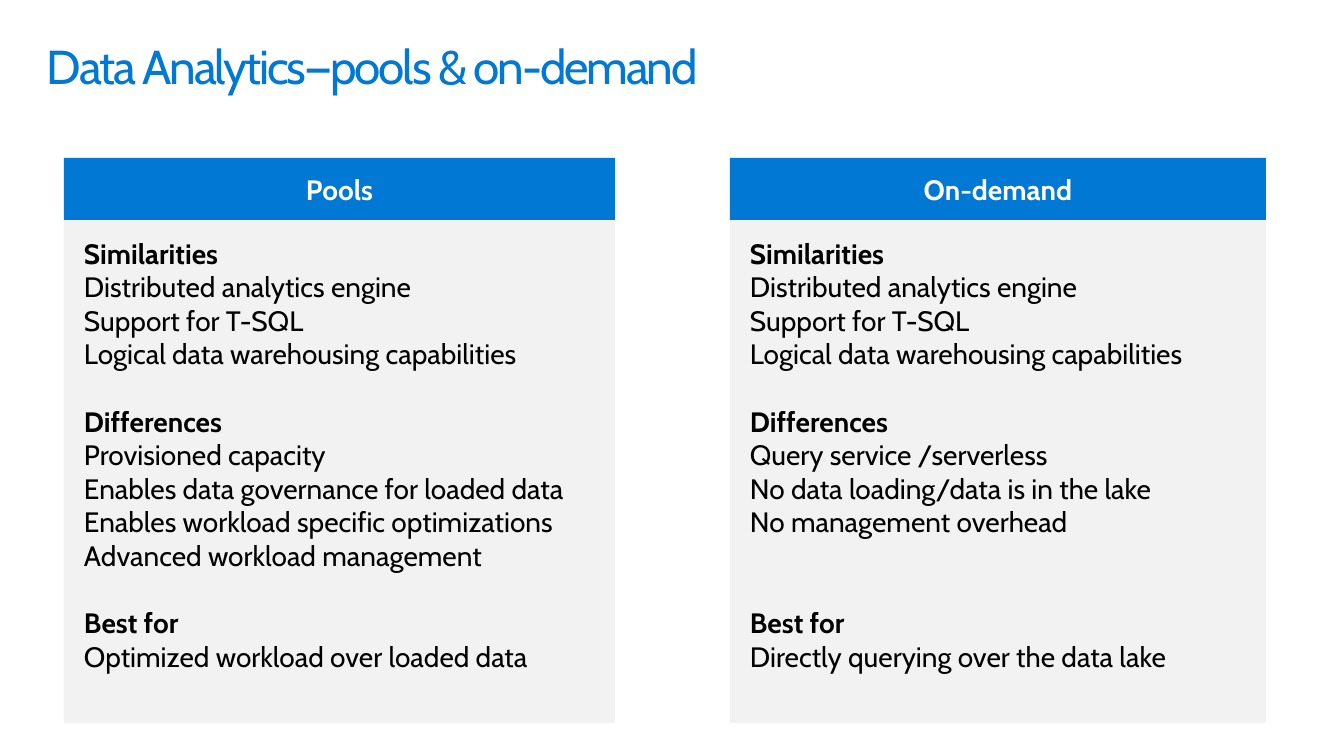
import pptx
import pptx.util
import pptx.dml.color
import pptx.enum.shapes
import pptx.enum.text

PX = 9071.43  # EMU in one px, 100.8 px to the inch
THEME = {
    "font": "Cabin", "title_size": 34, "text_size": 20, "line_height": 24,
    "blue": "0078D4", "grey": "F2F2F2", "white": "FFFFFF", "black": "000000",
}
ALIGN = pptx.enum.text.PP_ALIGN
ANCHOR = pptx.enum.text.MSO_ANCHOR


def px(length):
    return pptx.util.Emu(round(length * PX))


def write(frame, text, *, size=THEME["text_size"], color="black", bold=False,
          align=ALIGN.LEFT, anchor=ANCHOR.TOP, insets=(20, 16, 20, 16),
          before=0, line_spacing=None, tracking=None, new=False):
    """Write one paragraph; new=True adds it below the earlier ones."""
    frame.word_wrap = True
    frame.vertical_anchor = anchor
    (frame.margin_left, frame.margin_top,
     frame.margin_right, frame.margin_bottom) = map(px, insets)
    paragraph = frame.add_paragraph() if new else frame.paragraphs[0]
    paragraph.alignment = align
    if before:
        paragraph.space_before = pptx.util.Pt(before)
    if line_spacing:
        paragraph.line_spacing = line_spacing
    run = paragraph.add_run()
    run.text = text
    run.font.name = THEME["font"]
    run.font.size = pptx.util.Pt(size)
    run.font.bold = bold
    run.font.color.rgb = pptx.dml.color.RGBColor.from_string(THEME[color])
    if tracking:
        run.font._element.set("spc", str(tracking))


deck = pptx.Presentation()
deck.slide_width, deck.slide_height = px(1344), px(756)
slide = deck.slides.add_slide(deck.slide_layouts[6])

# Title
title = slide.shapes.add_textbox(px(47), px(25), px(1250), px(82))
write(title.text_frame, "Data Analytics—pools & on-demand",
      size=THEME["title_size"], color="blue", insets=(0, 18, 0, 0),
      line_spacing=0.9, tracking=-150)

# Each section: heading, empty lines' worth of space above it, entries
similarities = ("Similarities", 0, [
    "Distributed analytics engine",
    "Support for T-SQL",
    "Logical data warehousing capabilities",
])
options = [
    ("Pools", 64, 551, 10, [
        similarities,
        ("Differences", 1, [
            "Provisioned capacity",
            "Enables data governance for loaded data",
            "Enables workload specific optimizations",
            "Advanced workload management",
        ]),
        ("Best for", 1, ["Optimized workload over loaded data"]),
    ]),
    ("On-demand", 730, 536, 20, [
        similarities,
        ("Differences", 1, [
            "Query service /serverless",
            "No data loading/data is in the lake",
            "No management overhead",
        ]),
        ("Best for", 2, ["Directly querying over the data lake"]),
    ]),
]

# Two columns: blue header over grey panel
for option, left, width, right_inset, sections in options:
    frames = []
    for top, height, fill in ((158, 62, "blue"), (220, 503, "grey")):
        block = slide.shapes.add_shape(
            pptx.enum.shapes.MSO_SHAPE.RECTANGLE,
            px(left), px(top), px(width), px(height))
        block.shadow.inherit = False
        block.fill.solid()
        block.fill.fore_color.rgb = pptx.dml.color.RGBColor.from_string(THEME[fill])
        block.line.fill.background()
        frames.append(block.text_frame)
    header, panel = frames

    write(header, option, color="white", bold=True,
          align=ALIGN.CENTER, anchor=ANCHOR.MIDDLE)
    insets = (20, 16, right_inset, 16)
    for index, (heading, gap_lines, entries) in enumerate(sections):
        write(panel, heading, bold=True, insets=insets,
              before=gap_lines * THEME["line_height"], new=index > 0)
        for entry in entries:
            write(panel, entry, insets=insets, new=True)

deck.save("out.pptx")
